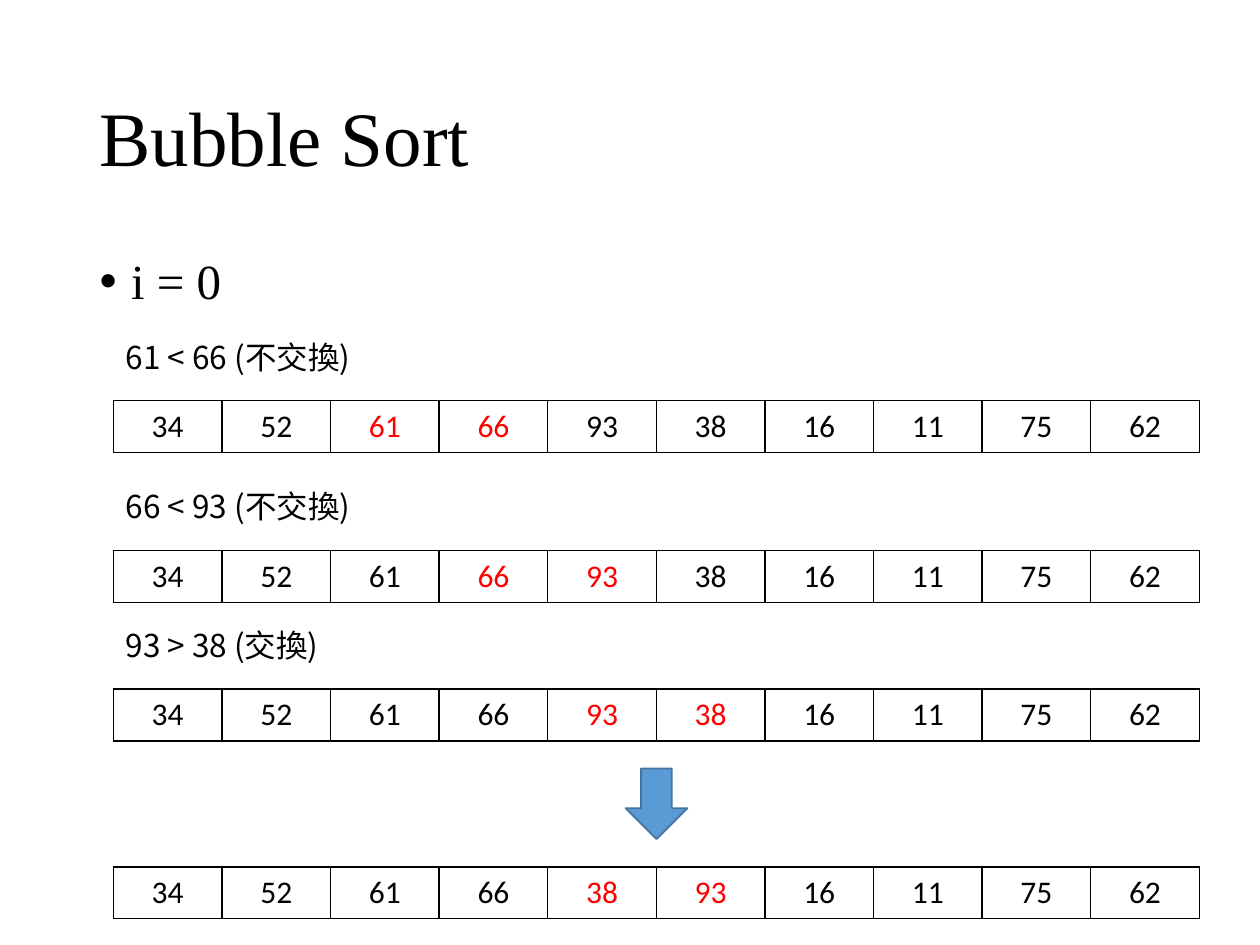
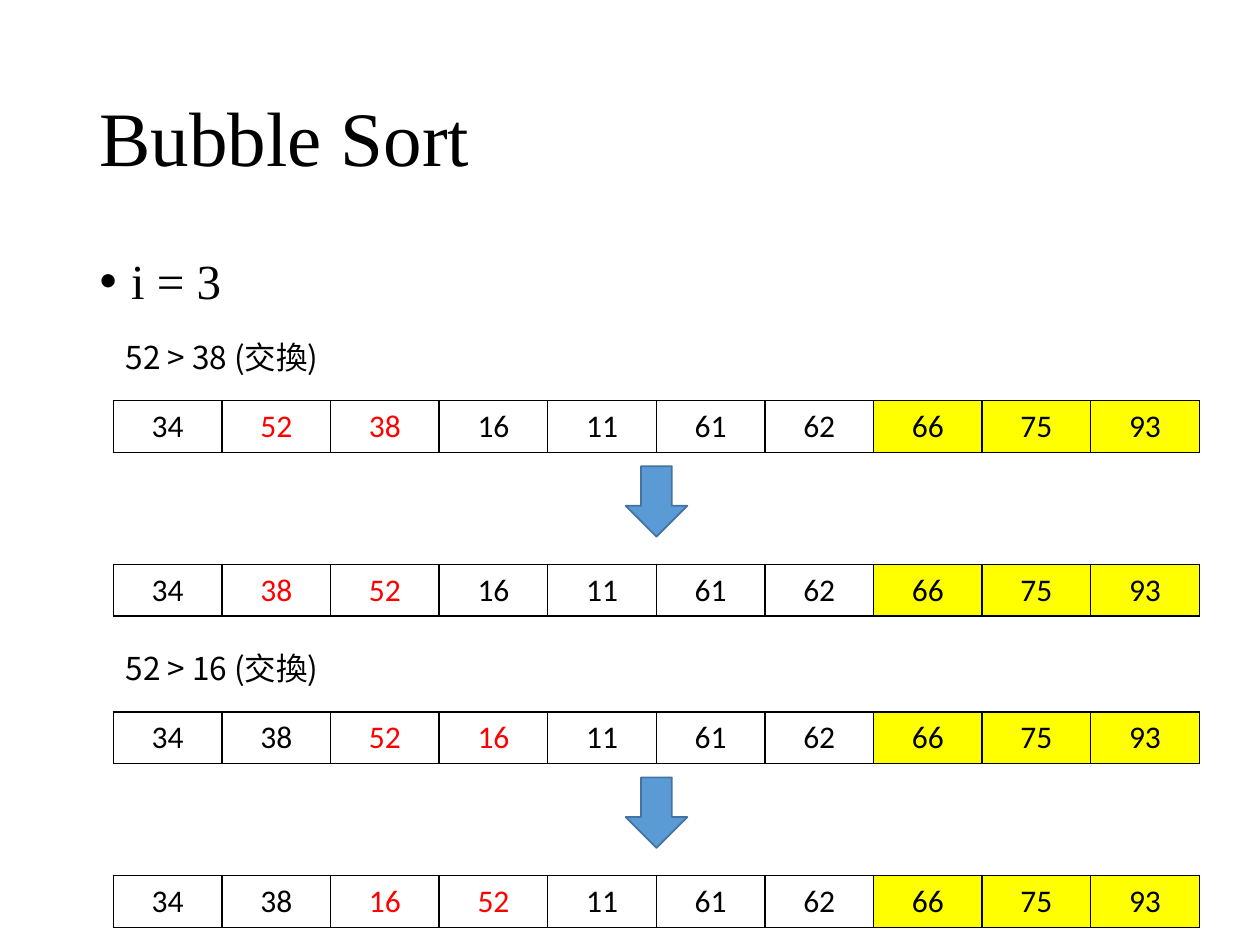
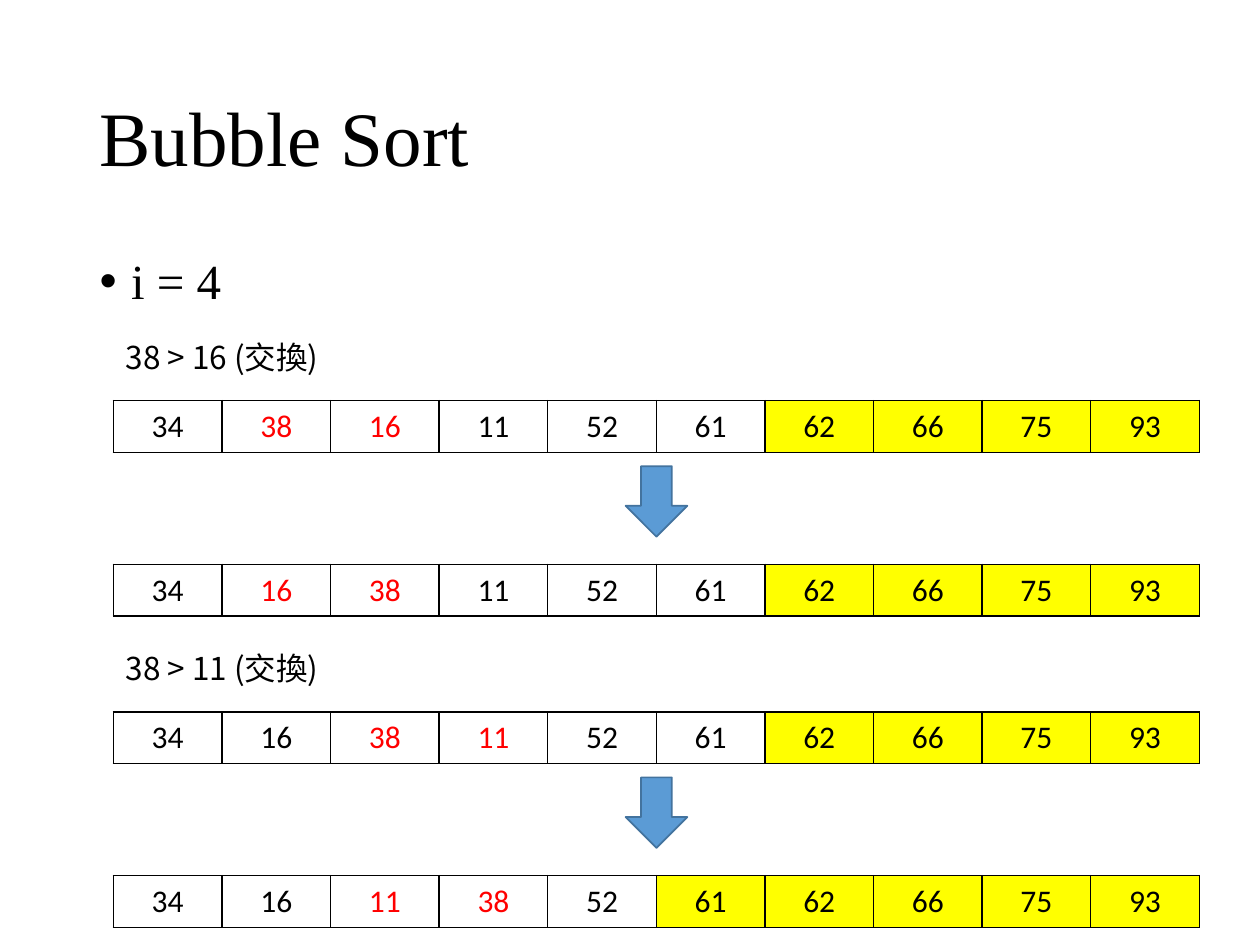
import dataclasses

import pptx
import pptx.dml.color
import pptx.enum.shapes
import pptx.enum.text
import pptx.oxml.ns
import pptx.util
from lxml import etree

Inches = pptx.util.Inches
Pt = pptx.util.Pt


@dataclasses.dataclass(frozen=True)
class Theme:
    ink: str = "000000"
    mark: str = "FF0000"
    done: str = "FFFF00"
    arrow: str = "5B9BD5"
    edge: str = "43739E"
    serif: str = "Times New Roman"
    sans: str = "Calibri"
    cjk: str = "Noto Sans CJK SC"
    head: int = 44
    body: int = 28
    small: int = 18
    line: int = 1


@dataclasses.dataclass(frozen=True)
class Step:
    top: float
    row: tuple
    first: int
    done: int = 0
    after: int = 0
    drop: float = 0


THEME = Theme()
LEFT, WIDE, HIGH = 0.9, 8.62, 0.41
LIFT = 0.55
ARROW = (0.49, 0.56)
RISE = 0.78

START = (34, 52, 61, 66, 93, 38, 16, 11, 75, 62)
THIRD = (34, 52, 38, 16, 11, 61, 62, 66, 75, 93)
FOURTH = (34, 38, 16, 11, 52, 61, 62, 66, 75, 93)


def swap(row, spot):
    return row[:spot] + (row[spot + 1], row[spot]) + row[spot + 2:]


def pair(row, done, last):
    return [
        Step(3.18, row, 1, done, done, 1.3),
        Step(5.65, swap(row, 1), 2, done, last, 1.3),
    ]


PASSES = [
    (0, [
        Step(3.18, START, 2),
        Step(4.37, START, 3),
        Step(5.47, START, 4, drop=1.41),
    ]),
    (3, pair(THIRD, 3, 3)),
    (4, pair(FOURTH, 4, 5)),
]


def rgb(code):
    return pptx.dml.color.RGBColor.from_string(code)


def tag(parent, name, **attrs):
    return etree.SubElement(parent, pptx.oxml.ns.qn(name), attrs)


def write(para, text, face, size, color=THEME.ink):
    run = para.add_run()
    run.text = text
    run.font.name = face
    run.font.size = Pt(size)
    run.font.color.rgb = rgb(color)
    return run


def fit(holder, box, anchor):
    holder.left, holder.top, holder.width, holder.height = map(Inches, box)
    frame = holder.text_frame
    frame.auto_size = pptx.enum.text.MSO_AUTO_SIZE.NONE
    frame.vertical_anchor = anchor
    para = frame.paragraphs[0]
    para.alignment = pptx.enum.text.PP_ALIGN.LEFT
    para.line_spacing = 0.9
    para.space_before = Pt(0)
    return para


def add_head(slide, box):
    para = fit(slide.shapes.title, box, pptx.enum.text.MSO_ANCHOR.MIDDLE)
    write(para, "Bubble Sort", THEME.serif, THEME.head)


def add_list(slide, box, turn):
    para = fit(slide.placeholders[1], box, pptx.enum.text.MSO_ANCHOR.TOP)
    props = para._p.get_or_add_pPr()
    props.set("marL", str(Inches(0.25)))
    props.set("indent", str(Inches(-0.25)))
    tag(props, "a:buFont", typeface="Arial")
    tag(props, "a:buChar", char="•")
    write(para, f"i = {turn}", THEME.serif, THEME.body)


def add_label(slide, left, top, low, high):
    sign, word, wide = (">", "交換", 2.1) if low > high else ("<", "不交換", 2.35)
    box = slide.shapes.add_textbox(*map(Inches, (left, top, wide, 0.4)))
    frame = box.text_frame
    frame.word_wrap = False
    frame.auto_size = pptx.enum.text.MSO_AUTO_SIZE.SHAPE_TO_FIT_TEXT
    text = f"{low} {sign} {high} ({word})"
    run = write(frame.paragraphs[0], text, THEME.cjk, THEME.small)
    tag(run.font._element, "a:ea", typeface=THEME.cjk)


def add_edges(cell):
    props = cell._tc.get_or_add_tcPr()
    for side in ("L", "R", "T", "B"):
        edge = tag(props, f"a:ln{side}", w=str(Pt(THEME.line)))
        tag(tag(edge, "a:solidFill"), "a:srgbClr", val=THEME.ink)


def add_row(slide, box, row, first, done):
    table = slide.shapes.add_table(1, len(row), *map(Inches, box)).table
    table.first_row = table.horz_banding = False
    for spot, value in enumerate(row):
        table.columns[spot].width = Inches(box[2] / len(row))
        cell = table.cell(0, spot)
        add_edges(cell)
        if spot >= len(row) - done:
            cell.fill.solid()
            cell.fill.fore_color.rgb = rgb(THEME.done)
        else:
            cell.fill.background()
        cell.vertical_anchor = pptx.enum.text.MSO_ANCHOR.MIDDLE
        para = cell.text_frame.paragraphs[0]
        para.alignment = pptx.enum.text.PP_ALIGN.CENTER
        color = THEME.mark if spot in (first, first + 1) else THEME.ink
        write(para, str(value), THEME.sans, THEME.small, color)


def add_arrow(slide, mid, top):
    wide, high = ARROW
    kind = pptx.enum.shapes.MSO_SHAPE.DOWN_ARROW
    box = (mid - wide / 2, top, wide, high)
    arrow = slide.shapes.add_shape(kind, *map(Inches, box))
    arrow.shadow.inherit = False
    arrow.fill.solid()
    arrow.fill.fore_color.rgb = rgb(THEME.arrow)
    arrow.line.color.rgb = rgb(THEME.edge)
    arrow.line.width = Pt(THEME.line)


def add_step(slide, box, step):
    left, top, wide, high = box
    spot = step.first
    add_label(slide, left, top - LIFT, step.row[spot], step.row[spot + 1])
    add_row(slide, box, step.row, spot, step.done)
    if step.drop:
        end = top + step.drop
        add_arrow(slide, left + wide / 2, end - RISE)
        add_row(slide, (left, end, wide, high), swap(step.row, spot), spot, step.after)


def add_pass(deck, turn, steps):
    slide = deck.slides.add_slide(deck.slide_layouts[1])
    add_head(slide, (0.69, 0.4, 8.62, 1.45))
    add_list(slide, (0.69, 1.99, 8.62, 4.76), turn)
    for step in steps:
        add_step(slide, (LEFT, step.top, WIDE, HIGH), step)


def main():
    deck = pptx.Presentation()
    deck.slide_width = Inches(10)
    deck.slide_height = Inches(7.5)
    for turn, steps in PASSES:
        add_pass(deck, turn, steps)
    deck.save("out.pptx")


if __name__ == "__main__":
    main()
